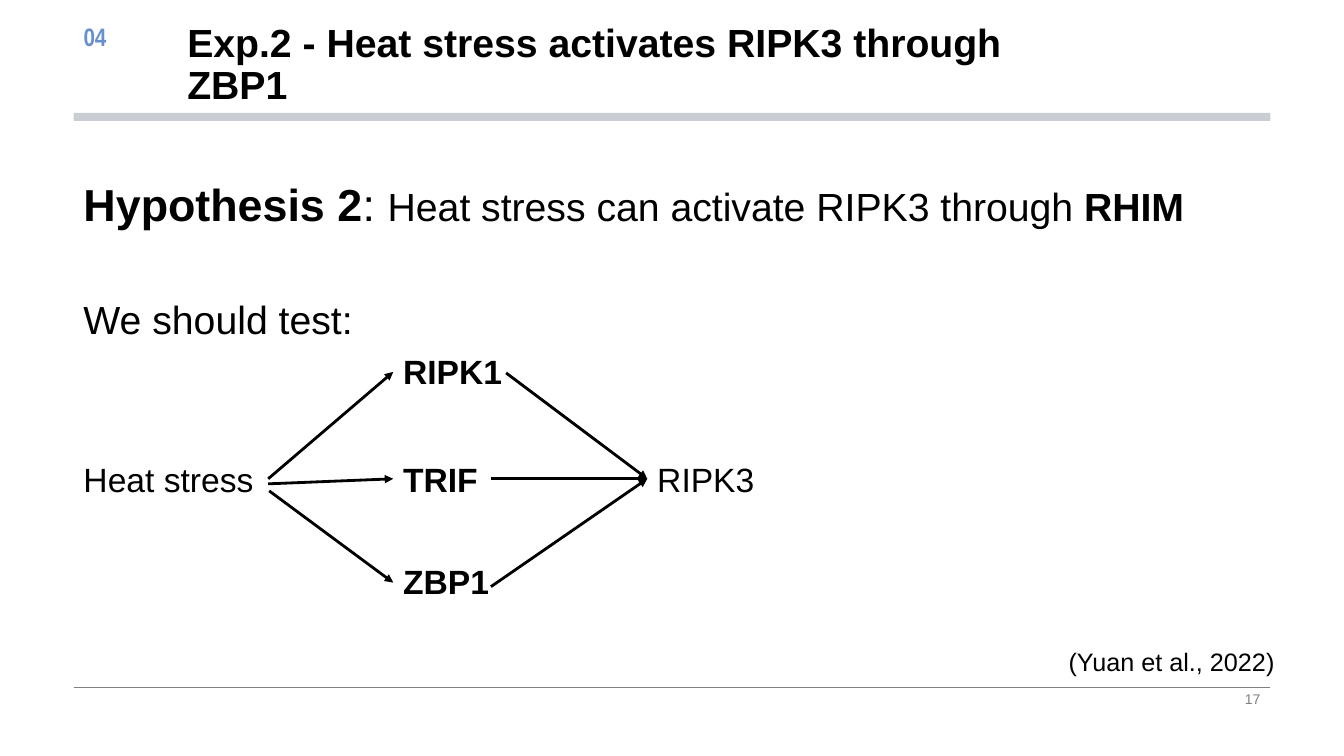
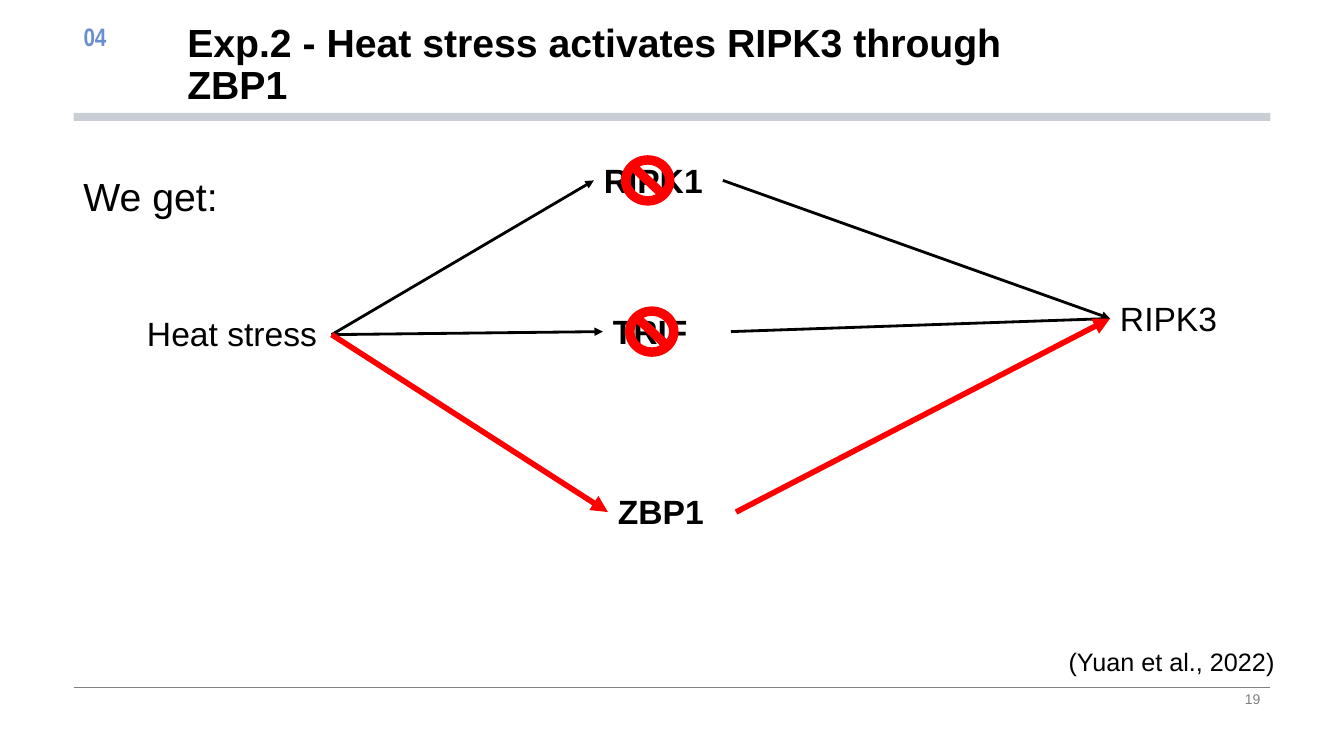
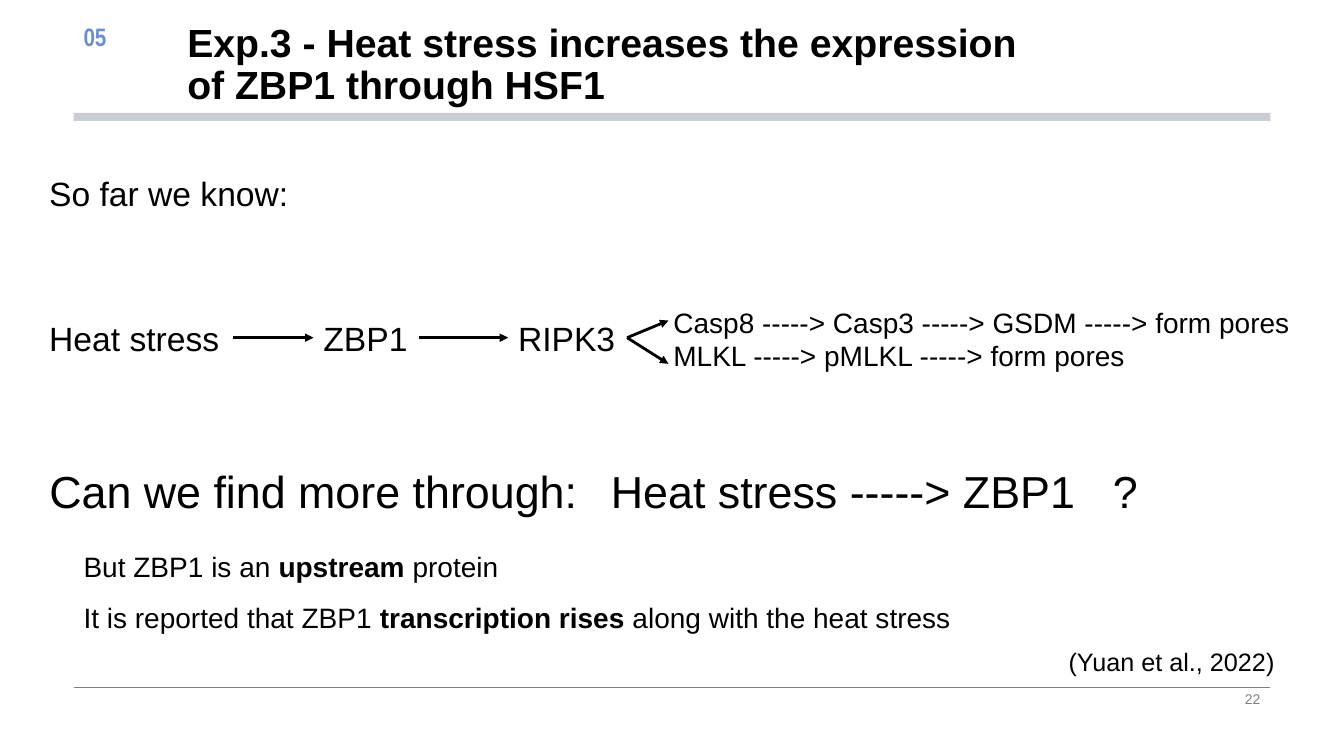
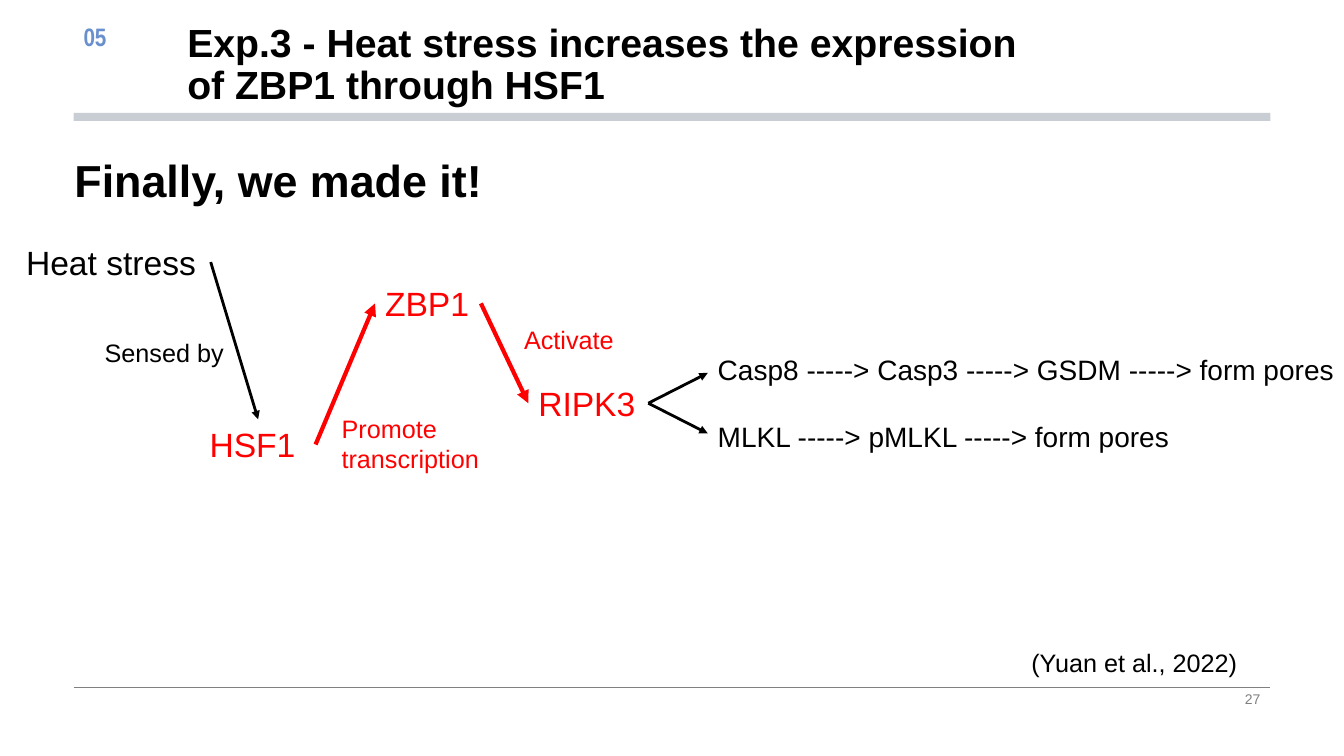
from dataclasses import dataclass

from lxml import etree
from pptx import Presentation
from pptx import util as u
from pptx.dml.color import RGBColor
from pptx.enum import shapes, text
from pptx.oxml.ns import qn

SCALE = 9144


@dataclass(frozen=True)
class Theme:
    """Colours, fonts and type sizes of the deck."""
    black: str = "000000"
    red: str = "FF0000"
    blue: str = "698FCE"
    grey: str = "808080"
    band: str = "C9CED5"
    font: str = "Arial"
    narrow: str = "Arial Narrow"
    big: int = 32
    head: int = 28
    node: int = 24
    body: int = 20
    note: int = 18
    tiny: int = 10


T = Theme()
TOP = text.MSO_ANCHOR.TOP
CHAINS = (
    "Casp8 -----> Casp3 -----> GSDM -----> form pores",
    "MLKL -----> pMLKL -----> form pores",
)
EXP2 = ("04", "Exp.2 - Heat stress activates RIPK3 through ZBP1", 844)
EXP3 = ("05", "Exp.3 - Heat stress increases the expression of ZBP1 through HSF1", 886)


def px(*nums):
    """Turn px lengths into EMU."""
    return [u.Emu(n * SCALE) for n in nums]


def rgb(hue):
    """Turn a hex string into a colour."""
    return RGBColor.from_string(hue)


def write(slide, box, *paras, size=T.node, hue=T.black, bold=False, font=T.font,
          lead=None, gap=0, anchor=TOP, align=None, tabs=()):
    """Add a text box; a run is a string or (string, size, bold)."""
    frame = slide.shapes.add_textbox(*px(*box)).text_frame
    frame.word_wrap = True
    frame.vertical_anchor = anchor
    for i, runs in enumerate(paras):
        para = frame.add_paragraph() if i else frame.paragraphs[0]
        para.alignment = align
        if lead:
            para.line_spacing = lead
        if i and gap:
            para.space_before = u.Pt(gap)
        if tabs:
            stops = etree.SubElement(para._p.get_or_add_pPr(), qn("a:tabLst"))
            for stop in tabs:
                etree.SubElement(stops, qn("a:tab"), pos=str(stop * SCALE), algn="l")
        for part in [runs] if isinstance(runs, str) else runs:
            words, pts, strong = (part, size, bold) if isinstance(part, str) else part
            run = para.add_run()
            run.text = words
            run.font.name = font
            run.font.size = u.Pt(pts)
            run.font.bold = strong
            run.font.color.rgb = rgb(hue)


def nodes(slide, *items, **style):
    """Add one-line labels, each given as words, x, y and width."""
    for words, x, y, wide in items:
        write(slide, (x, y, wide, 50), words, **style)


def rule(slide, ends, hue=T.black, pts=2):
    """Draw a straight line without shadow."""
    line = slide.shapes.add_connector(shapes.MSO_CONNECTOR.STRAIGHT, *px(*ends))
    line.line.color.rgb = rgb(hue)
    line.line.width = u.Pt(pts)
    etree.SubElement(line._element.spPr, qn("a:effectLst"))
    return line


def links(slide, *lines, hue=T.black, pts=2):
    """Draw arrows, each given by its two ends."""
    for ends in lines:
        line = rule(slide, ends, hue, pts)
        etree.SubElement(line.line._get_or_add_ln(), qn("a:tailEnd"), type="triangle")


def solid(slide, kind, box, hue):
    """Add a filled shape without outline."""
    shape = slide.shapes.add_shape(kind, *px(*box))
    shape.shadow.inherit = False
    shape.fill.solid()
    shape.fill.fore_color.rgb = rgb(hue)
    shape.line.fill.background()


def start(deck, part, page, cite=(1050, 636)):
    """Add a slide with its title, band, source and page number."""
    slide = deck.slides.add_slide(deck.slide_layouts[6])
    mark, title, wide = part
    rule(slide, (73, 682, 1260, 682), T.grey, 0.5)
    solid(slide, shapes.MSO_SHAPE.RECTANGLE, (73, 112, 1187, 8), T.band)
    write(slide, (176, 16, wide, 96), title, size=T.head, bold=True, lead=0.9,
          anchor=text.MSO_ANCHOR.BOTTOM)
    write(slide, (942, 682, 318, 23), page, size=T.tiny, hue=T.grey,
          anchor=text.MSO_ANCHOR.MIDDLE, align=text.PP_ALIGN.RIGHT)
    write(slide, (73, 16, 79, 87), mark, size=T.note, hue=T.blue, bold=True,
          font=T.narrow)
    write(slide, (*cite, 239, 40), "(Yuan et al., 2022)", size=T.note)
    return slide


def guess(deck):
    """Build the hypothesis slide."""
    slide = start(deck, EXP2, "17")
    write(slide, (73, 144, 1246, 81),
          [("Hypothesis 2", T.big, True), (": ", T.big, False),
           "Heat stress can activate RIPK3 through ", ("RHIM", T.head, True)],
          size=T.head, lead=1.5)
    write(slide, (73, 265, 1187, 72), "We should test:", size=T.head, lead=1.5)
    nodes(slide, ("Heat stress", 73, 450, 193), ("RIPK3", 642, 450, 122))
    nodes(slide, ("RIPK1", 390, 343, 127), ("TRIF", 390, 450, 127),
          ("ZBP1", 390, 552, 127), bold=True)
    links(slide, (266, 475, 390, 369), (266, 480, 390, 475), (267, 487, 390, 578),
          (502, 370, 642, 475), (487, 475, 642, 475), (487, 582, 642, 475))


def result(deck):
    """Build the slide that rules two paths out."""
    slide = start(deck, EXP2, "19")
    write(slide, (73, 143, 1187, 72), "We get:", size=T.head, lead=1.5)
    nodes(slide, ("Heat stress", 136, 306, 193), ("RIPK3", 1101, 291, 122))
    nodes(slide, ("RIPK1", 589, 154, 127), ("TRIF", 598, 304, 127),
          ("ZBP1", 603, 482, 127), bold=True)
    heat, goal = (329, 332), (1101, 316)
    links(slide, (*heat, 589, 179), (*heat, 598, 329),
          (717, 179, *goal), (725, 329, *goal))
    links(slide, (*heat, 603, 508), (730, 508, *goal), hue=T.red, pts=4)
    for x, y in ((616, 154), (620, 304)):
        solid(slide, shapes.MSO_SHAPE.NO_SYMBOL, (x, y, 53, 50), T.red)


def recap(deck):
    """Build the slide of what is known so far."""
    slide = start(deck, EXP3, "22")
    nodes(slide, ("So far we know:", 39, 167, 714), ("Heat stress", 39, 310, 193),
          ("ZBP1", 311, 310, 105), ("RIPK3", 504, 310, 118))
    write(slide, (658, 298, 641, 77), *CHAINS, size=T.body)
    links(slide, (231, 335, 311, 335), (416, 335, 504, 335),
          (622, 335, 663, 318), (622, 335, 663, 361))
    write(slide, (39, 455, 1111, 64),
          "Can we find more through:\tHeat stress -----> ZBP1\t?",
          size=T.big, tabs=(557, 1055))
    write(slide, (73, 524, 955, 105),
          ["But ZBP1 is an ", ("upstream", T.body, True), " protein"],
          ["It is reported that ZBP1 ", ("transcription rises", T.body, True),
           " along with the heat stress"],
          size=T.body, lead=1.5)


def finish(deck):
    """Build the slide of the whole pathway."""
    slide = start(deck, EXP3, "27", (1013, 637))
    write(slide, (64, 120, 461, 81), "Finally, we made it!", size=T.big, bold=True,
          lead=1.5)
    nodes(slide, ("Heat stress", 16, 235, 193))
    nodes(slide, ("ZBP1", 372, 276, 105), ("RIPK3", 524, 375, 118),
          ("HSF1", 198, 416, 114), hue=T.red)
    links(slide, (209, 260, 256, 416), (643, 400, 702, 370), (643, 400, 702, 430))
    links(slide, (477, 301, 524, 400), (313, 441, 372, 301), hue=T.red, pts=3)
    write(slide, (702, 345, 641, 111), *CHAINS, size=T.body, gap=24)
    nodes(slide, ("Sensed by", 94, 330, 150), size=T.note)
    nodes(slide, ("Promote transcription", 329, 405, 157),
          ("Activate", 510, 317, 114), size=T.note, hue=T.red)


def main():
    """Build and save the deck."""
    deck = Presentation()
    deck.slide_width, deck.slide_height = px(1333, 750)
    for build in (guess, result, recap, finish):
        build(deck)
    deck.save("out.pptx")


if __name__ == "__main__":
    main()
